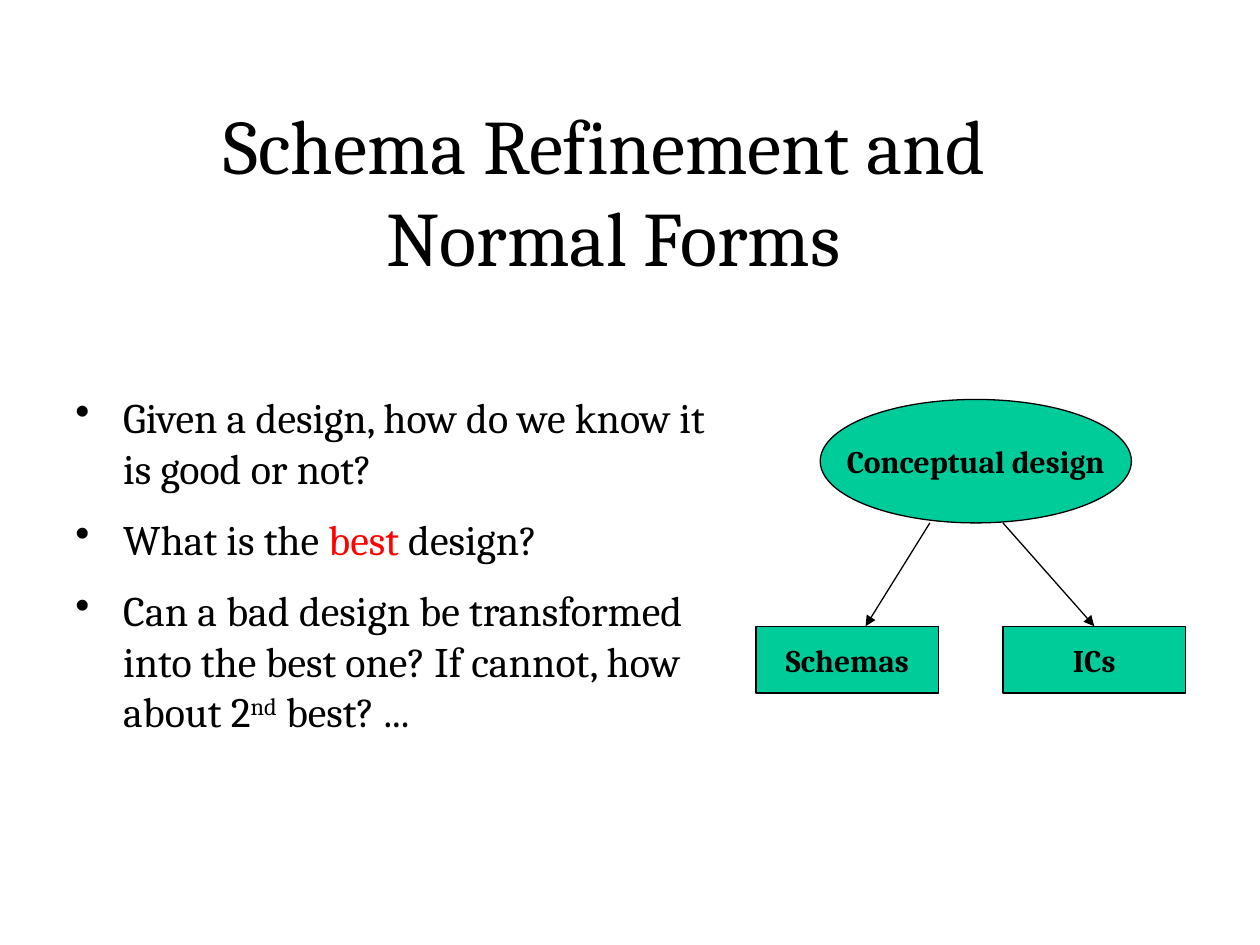
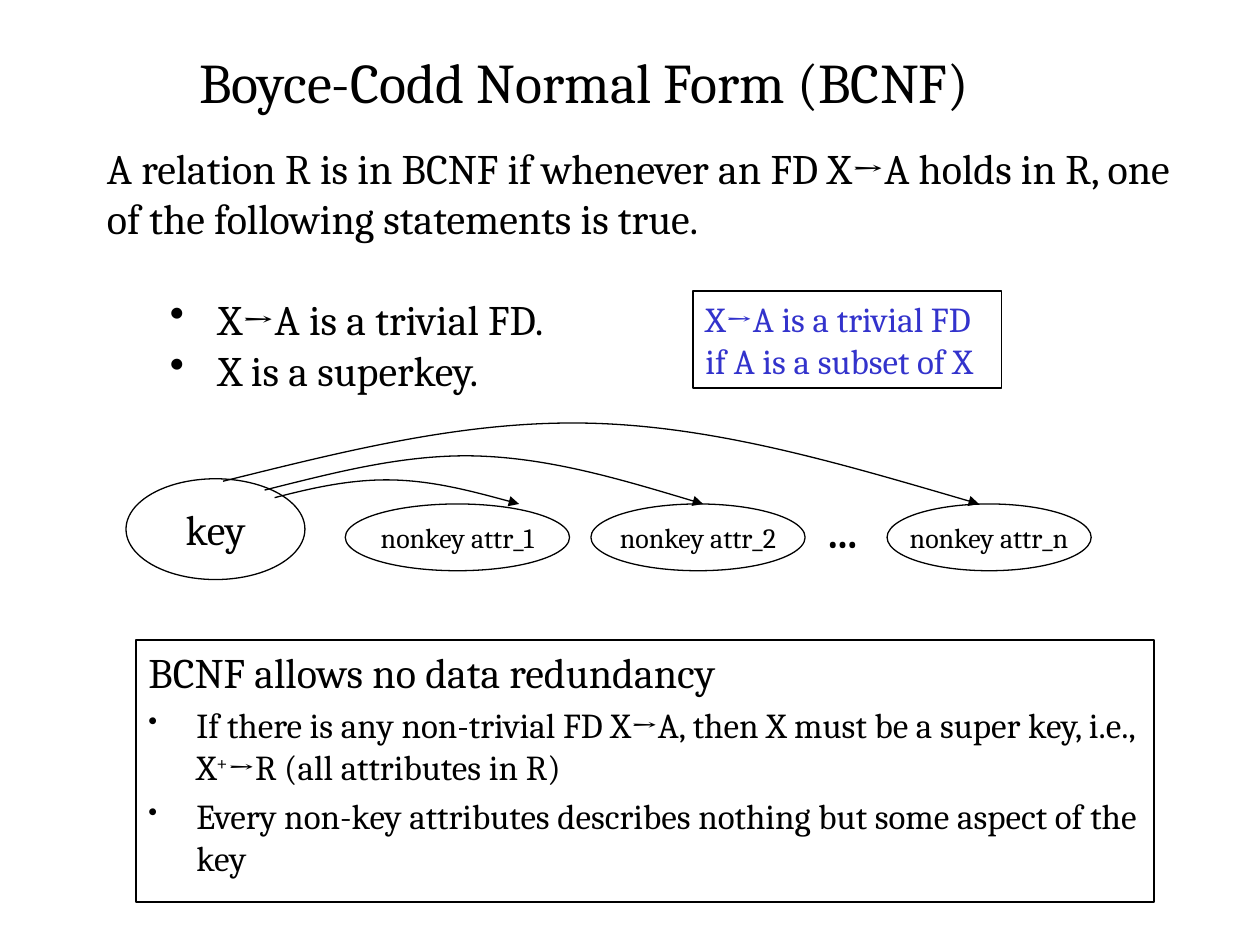
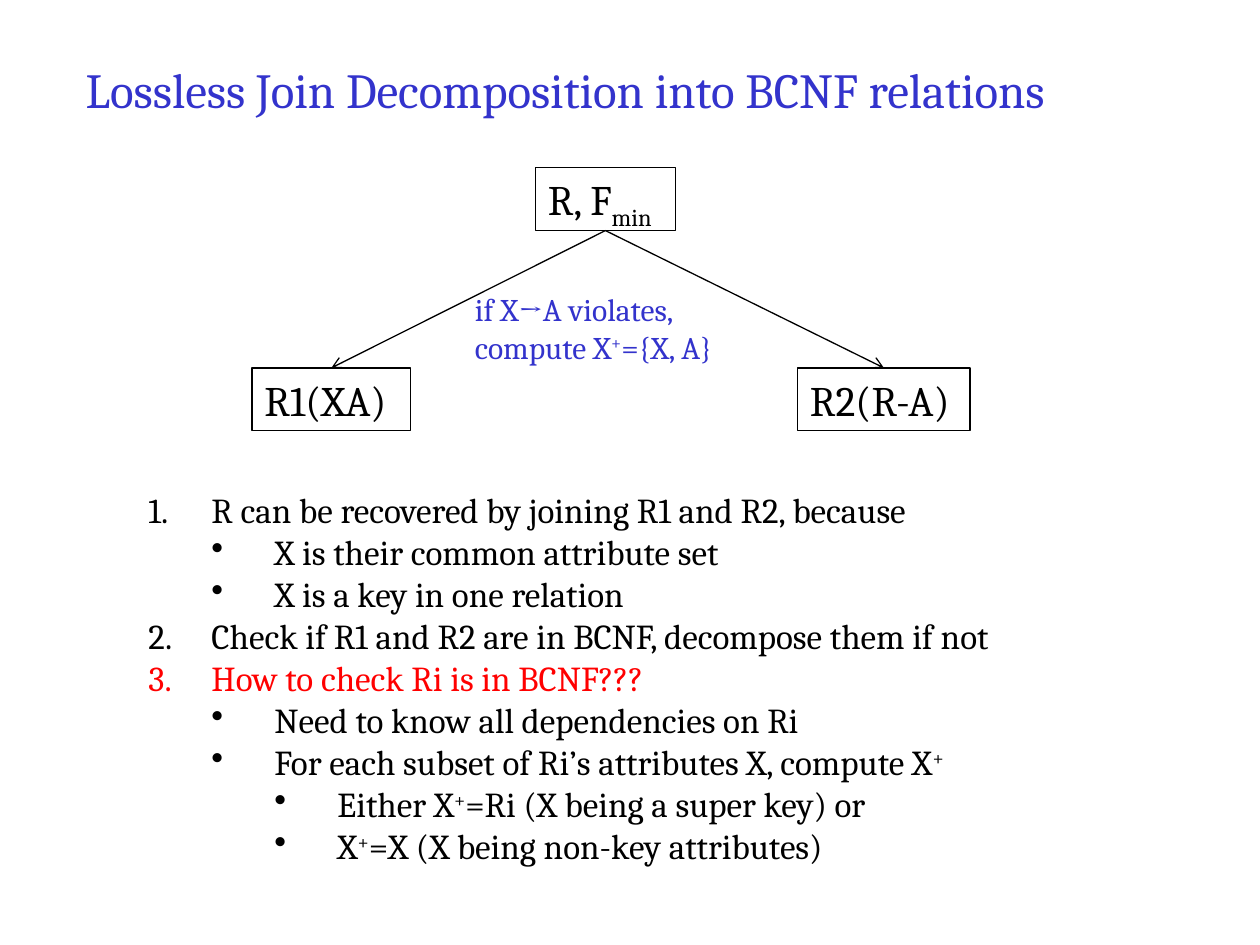
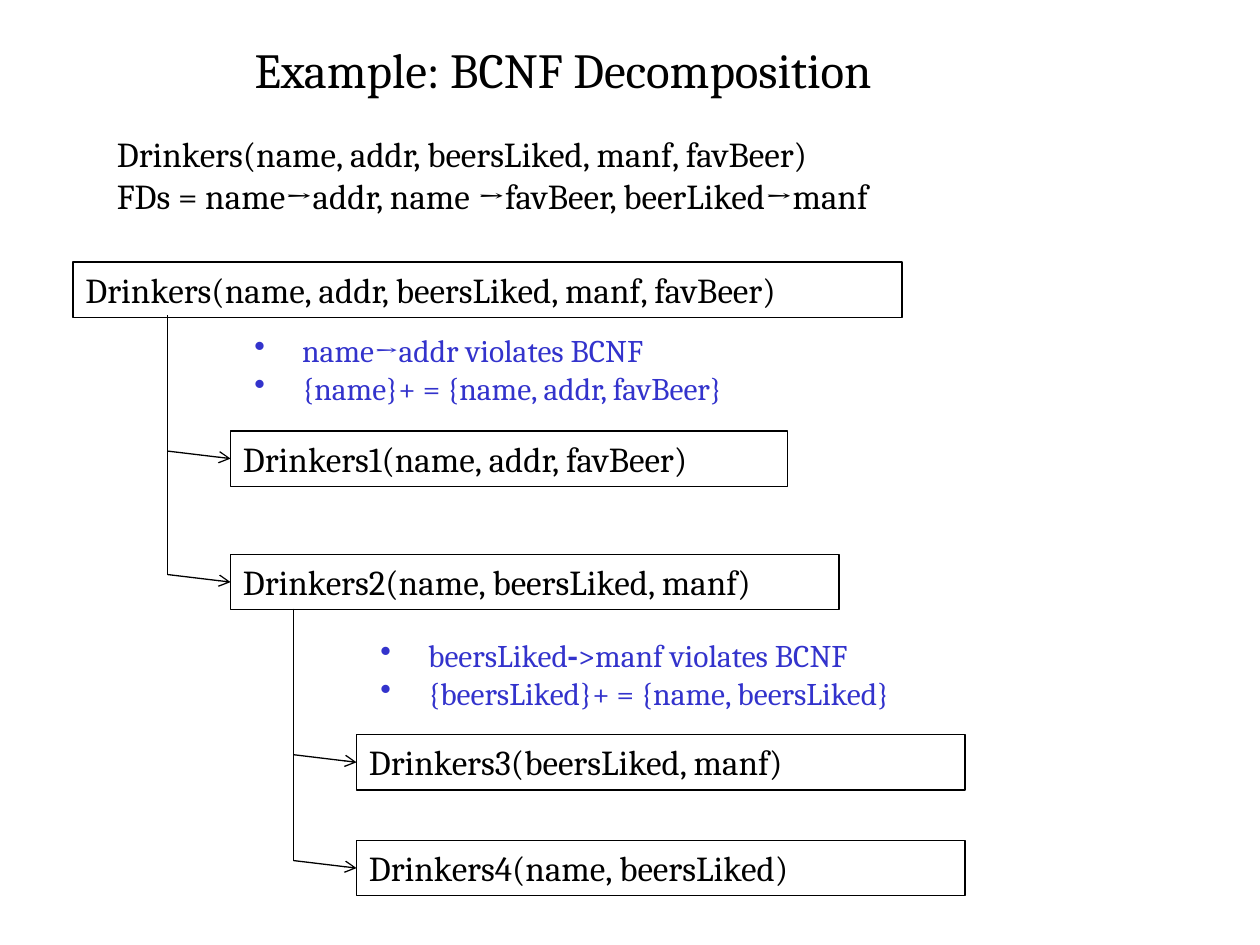
from dataclasses import dataclass
from typing import NamedTuple, Optional, Sequence, Union

from lxml.etree import SubElement
from pptx import Presentation
from pptx.dml.color import RGBColor
from pptx.enum.shapes import MSO_CONNECTOR as Connector, MSO_SHAPE as Preset
from pptx.enum.text import MSO_ANCHOR as Anchor, MSO_AUTO_SIZE as AutoSize, PP_ALIGN as Align
from pptx.oxml.ns import qn
from pptx.util import Inches, Pt


@dataclass(frozen=True)
class Theme:
    font: str = "Cambria"
    black: RGBColor = RGBColor(0x00, 0x00, 0x00)
    blue: RGBColor = RGBColor(0x33, 0x33, 0xCC)
    red: RGBColor = RGBColor(0xFF, 0x00, 0x00)
    green: RGBColor = RGBColor(0x00, 0xCC, 0x99)
    cover: int = 44
    heading: int = 32
    subheading: int = 28
    large: int = 24
    medium: int = 20
    small: int = 18
    tiny: int = 16
    line: float = 0.75


THEME = Theme()
TITLE_ONLY = 5


class Box(NamedTuple):
    left: float
    top: float
    width: float
    height: float


class Point(NamedTuple):
    x: float
    y: float


@dataclass(frozen=True)
class Run:
    text: str
    color: Optional[RGBColor] = None
    baseline: int = 0
    bold: bool = False


@dataclass(frozen=True)
class Line:
    runs: Sequence[Union[str, Run]]
    size: int = THEME.large
    color: RGBColor = THEME.black
    bold: bool = False
    marker: str = ""
    marker_percent: int = 100
    level: int = 0
    margin: float = 0
    hanging: float = 0.38
    space: float = 0


@dataclass(frozen=True)
class Node:
    box: Box
    label: str
    size: int
    preset: Preset = Preset.OVAL
    fill: Optional[RGBColor] = None
    bold: bool = False


PLUS = Run("+", baseline=30)


def set_marker(paragraph, line: Line) -> None:
    properties = paragraph._p.get_or_add_pPr()
    properties.set("marL", str(Inches(line.margin)))
    properties.set("indent", str(-Inches(line.hanging)))
    if line.marker_percent != 100:
        SubElement(properties, qn("a:buSzPct"), val=str(line.marker_percent * 1000))
    if line.marker == "1.":
        SubElement(properties, qn("a:buAutoNum"), type="arabicPeriod")
    else:
        SubElement(properties, qn("a:buChar"), char=line.marker)


def set_font(font, size: int, color: RGBColor, bold: bool = False) -> None:
    font.name = THEME.font
    font.size = Pt(size)
    font.bold = bold
    font.color.rgb = color


def write_lines(frame, lines: Sequence[Line], align: Align = Align.LEFT) -> None:
    for index, line in enumerate(lines):
        paragraph = frame.add_paragraph() if index else frame.paragraphs[0]
        if line.marker:
            set_marker(paragraph, line)
        paragraph.alignment = align
        paragraph.level = line.level
        if index and line.space:
            paragraph.space_before = Pt(line.space)
        set_font(paragraph.font, line.size, line.color, line.bold)
        for item in line.runs:
            part = Run(item) if isinstance(item, str) else item
            run = paragraph.add_run()
            run.text = part.text
            if part.color is not None:
                run.font.color.rgb = part.color
            if part.bold:
                run.font.bold = True
            if part.baseline:
                run._r.get_or_add_rPr().set("baseline", str(part.baseline * 1000))


def add_titled_slide(presentation, title: str, box: Box, size: int,
                     color: RGBColor = THEME.black, align: Align = Align.LEFT,
                     anchor: Anchor = Anchor.TOP):
    slide = presentation.slides.add_slide(presentation.slide_layouts[TITLE_ONLY])
    placeholder = slide.shapes.title
    placeholder.left, placeholder.top, placeholder.width, placeholder.height = map(Inches, box)
    frame = placeholder.text_frame
    frame.auto_size = AutoSize.NONE
    frame.word_wrap = True
    frame.vertical_anchor = anchor
    paragraph = frame.paragraphs[0]
    paragraph.text = title
    paragraph.alignment = align
    set_font(paragraph.font, size, color)
    return slide


def add_text(slide, box: Box, lines: Sequence[Line]) -> None:
    frame = slide.shapes.add_textbox(*map(Inches, box)).text_frame
    frame.word_wrap = True
    write_lines(frame, lines)


def add_outlined(slide, preset: Preset, box: Box, fill: Optional[RGBColor] = None,
                 width: float = THEME.line):
    shape = slide.shapes.add_shape(preset, *map(Inches, box))
    shape.shadow.inherit = False
    if fill is None:
        shape.fill.background()
    else:
        shape.fill.solid()
        shape.fill.fore_color.rgb = fill
    shape.line.color.rgb = THEME.black
    shape.line.width = Pt(width)
    return shape


def add_frame(slide, box: Box, lines: Sequence[Line], width: float = THEME.line):
    shape = add_outlined(slide, Preset.RECTANGLE, box, width=width)
    shape.text_frame.word_wrap = True
    shape.text_frame.vertical_anchor = Anchor.TOP
    write_lines(shape.text_frame, lines)
    return shape


def add_node(slide, node: Node):
    shape = add_outlined(slide, node.preset, node.box, node.fill)
    shape.text_frame.word_wrap = False
    shape.text_frame.vertical_anchor = Anchor.MIDDLE
    write_lines(shape.text_frame, [Line([node.label], node.size, bold=node.bold)], Align.CENTER)
    return shape


def add_arrowhead(shape, head: str) -> None:
    SubElement(shape._element.spPr.find(qn("a:ln")), qn("a:tailEnd"), type=head)


def add_line(slide, start: Point, end: Point, head: str = ""):
    connector = slide.shapes.add_connector(
        Connector.STRAIGHT, *map(Inches, start), *map(Inches, end))
    connector.line.color.rgb = THEME.black
    connector.line.width = Pt(THEME.line)
    if head:
        add_arrowhead(connector, head)
    SubElement(connector._element.spPr, qn("a:effectLst"))
    return connector


def add_curve(slide, points: Sequence[Point]) -> None:
    corners = [tuple(map(Inches, point)) for point in points]
    builder = slide.shapes.build_freeform(*corners[0])
    builder.add_line_segments(corners[1:], close=False)
    shape = builder.convert_to_shape()
    shape.shadow.inherit = False
    shape.fill.background()
    shape.line.color.rgb = THEME.black
    shape.line.width = Pt(THEME.line)
    add_arrowhead(shape, "triangle")
    outline = next(shape._element.iter(qn("a:path")))
    segments = outline.findall(qn("a:lnTo"))
    for index in range(0, len(segments), 3):
        cubic = SubElement(outline, qn("a:cubicBezTo"))
        for segment in segments[index:index + 3]:
            cubic.append(segment[0])
            outline.remove(segment)


def build_cover(presentation) -> None:
    slide = add_titled_slide(
        presentation, "Schema Refinement and \vNormal Forms", Box(0.58, 0.67, 8.58, 1.67),
        THEME.cover, align=Align.CENTER, anchor=Anchor.MIDDLE)
    questions = (
        ["Given a design, how do we know it is good or not?"],
        ["What is the ", Run("best", THEME.red), " design?"],
        ["Can a bad design be transformed into the best one? If cannot, how about 2",
         Run("nd", baseline=30), " best? ..."],
    )
    add_text(slide, Box(0.5, 3.06, 5.33, 2.93),
             [Line(runs, marker="•", margin=0.38, space=12) for runs in questions])

    add_line(slide, Point(7.38, 4.15), Point(6.87, 4.97), "triangle")
    add_node(slide, Node(Box(6.51, 3.17, 2.47, 0.98), "Conceptual design", THEME.small,
                         fill=THEME.green, bold=True))
    schemas, constraints = [
        add_node(slide, Node(Box(left, 4.97, 1.45, 0.53), label, THEME.small,
                             Preset.RECTANGLE, THEME.green, True))
        for left, label in ((6, "Schemas"), (7.96, "ICs"))
    ]
    arrow = add_line(slide, Point(7.96, 4.15), Point(8.69, 4.97), "triangle")
    arrow.end_connect(constraints, 0)


def build_normal_form(presentation) -> None:
    slide = add_titled_slide(presentation, "Boyce-Codd Normal Form (BCNF)",
                             Box(1.48, 0.33, 6.69, 0.64), THEME.heading)
    add_text(slide, Box(0.75, 1.08, 8.75, 2.12), [
        Line(["A relation R is in BCNF if whenever an FD X→A holds in R, "
              "one of the following statements is true."]),
        Line(["X→A is a trivial FD."], marker="•", level=1, margin=0.88, space=29),
        Line(["X is a superkey."], marker="•", level=1, margin=0.88),
    ])
    add_frame(slide, Box(5.5, 2.31, 2.45, 0.77), [
        Line([text], THEME.medium, THEME.blue)
        for text in ("X→A is a trivial FD", "if A is a subset of X")
    ])

    add_node(slide, Node(Box(1, 3.8, 1.42, 0.8), "key", THEME.large))
    for left, width, suffix in ((2.74, 1.78, "1"), (4.69, 1.7, "2"), (7.04, 1.62, "n")):
        add_node(slide, Node(Box(left, 4, width, 0.53), f"nonkey attr_{suffix}", THEME.tiny))
    add_text(slide, Box(6.46, 3.97, 0.46, 0.5), [Line(["…"], bold=True)])

    dependencies = (
        (Point(2.18, 3.95), Point(2.49, 3.87), Point(2.8, 3.8), Point(3.13, 3.81),
         Point(3.45, 3.82), Point(3.79, 3.91), Point(4.12, 4)),
        (Point(2.1, 3.89), Point(2.66, 3.75), Point(3.22, 3.6), Point(3.8, 3.62),
         Point(4.38, 3.64), Point(4.98, 3.82), Point(5.58, 4)),
        (Point(1.77, 3.82), Point(2.74, 3.58), Point(3.71, 3.33), Point(4.71, 3.36),
         Point(5.71, 3.39), Point(6.74, 3.7), Point(7.77, 4)),
    )
    for points in dependencies:
        add_curve(slide, points)

    consequences = (
        ["If there is any non-trivial FD X→A, then X must be a super key, i.e., X",
         PLUS, "→R (all attributes in R)"],
        ["Every non-key attributes describes nothing but some aspect of the key"],
    )
    add_frame(slide, Box(1.08, 5.08, 8.08, 2.08), [
        Line(["BCNF allows no data redundancy"]),
        *(Line(runs, THEME.medium, marker="•", marker_percent=75, margin=0.38, space=4)
          for runs in consequences),
    ], width=1)


def build_lossless_join(presentation) -> None:
    slide = add_titled_slide(presentation, "Lossless Join Decomposition into BCNF relations",
                             Box(0.58, 0.42, 8.32, 0.57), THEME.subheading, THEME.blue)
    steps = (
        (0, ["R can be recovered by joining R1 and R2, because"], THEME.black),
        (1, ["X is their common attribute set"], THEME.black),
        (1, ["X is a key in one relation"], THEME.black),
        (0, ["Check if R1 and R2 are in BCNF, decompose them if not"], THEME.black),
        (0, ["How to check Ri is in BCNF???"], THEME.red),
        (1, ["Need to know all dependencies on Ri"], THEME.black),
        (1, ["For each subset of Ri’s attributes X, compute X", PLUS], THEME.black),
        (2, ["Either X", PLUS, "=Ri (X being a super key) or"], THEME.black),
        (2, ["X", PLUS, "=X (X being non-key attributes)"], THEME.black),
    )
    add_text(slide, Box(1.08, 3.83, 8.25, 3.13), [
        Line(runs, THEME.medium, color, marker="•" if level else "1.", level=level,
             margin=0.5 * (level + 1), hanging=0.5)
        for level, runs, color in steps
    ])

    relation = add_frame(slide, Box(4.25, 1.33, 1.11, 0.5),
                         [Line(["R, F", Run("min", baseline=-25)])])
    add_text(slide, Box(3.67, 2.25, 2.18, 1.01), [
        Line(runs, THEME.small, THEME.blue)
        for runs in (["if X→A violates,"], ["compute X", PLUS, "={X, A}"])
    ])
    for box, label in ((Box(2, 2.92, 1.26, 0.5), "R1(XA)"),
                       (Box(6.33, 2.92, 1.37, 0.5), "R2(R-A)")):
        part = add_frame(slide, box, [Line([label])])
        arrow = add_line(slide, Point(4.8, 1.84), Point(box.left + box.width / 2, box.top),
                         "arrow")
        arrow.begin_connect(relation, 2)
        arrow.end_connect(part, 0)


def add_relation(slide, left: float, top: float, width: float, text: str):
    return add_frame(slide, Box(left, top, width, 0.44), [Line([text], THEME.medium)])


def add_branch(slide, trunk: float, start: float,
               children: Sequence[tuple[float, float, str]]) -> None:
    gap, drop = 0.5, 0.06
    for top, width, text in children:
        relation = add_relation(slide, trunk + gap, top, width, text)
        middle = top + 0.22
        arrow = add_line(slide, Point(trunk, middle - drop), Point(trunk + gap, middle), "arrow")
        arrow.end_connect(relation, 1)
    add_line(slide, Point(trunk, start), Point(trunk, middle - drop))


def build_example(presentation) -> None:
    slide = add_titled_slide(presentation, "Example: BCNF Decomposition",
                             Box(1.92, 0.26, 5.41, 0.57), THEME.subheading)
    schema = "Drinkers(name, addr, beersLiked, manf, favBeer)"
    add_text(slide, Box(0.83, 1, 7.5, 0.77), [
        Line([text], THEME.medium)
        for text in (schema, "FDs = name→addr, name →favBeer, beerLiked→manf")
    ])
    add_relation(slide, 0.58, 2.08, 6.58, schema)
    add_branch(slide, 1.33, 2.5, (
        (3.42, 4.42, "Drinkers1(name, addr, favBeer)"),
        (4.4, 4.83, "Drinkers2(name, beersLiked, manf)"),
    ))
    add_branch(slide, 2.33, 4.83, (
        (5.83, 4.83, "Drinkers3(beersLiked, manf)"),
        (6.67, 4.83, "Drinkers4(name, beersLiked)"),
    ))
    violations = (
        (Box(1.92, 2.58, 4.42, 0.71),
         (["name→addr violates BCNF"], ["{name}+ = {name, addr, favBeer}"])),
        (Box(2.92, 5, 4.83, 0.71),
         (["beersLiked", Run("‐", bold=True), ">manf violates BCNF"],
          ["{beersLiked}+ = {name, beersLiked}"])),
    )
    for box, notes in violations:
        add_text(slide, box, [Line(runs, THEME.small, THEME.blue, marker="•", margin=0.38)
                              for runs in notes])


def main() -> None:
    presentation = Presentation()
    presentation.slide_width = Inches(10)
    presentation.slide_height = Inches(7.5)
    build_cover(presentation)
    build_normal_form(presentation)
    build_lossless_join(presentation)
    build_example(presentation)
    presentation.save("out.pptx")


if __name__ == "__main__":
    main()
